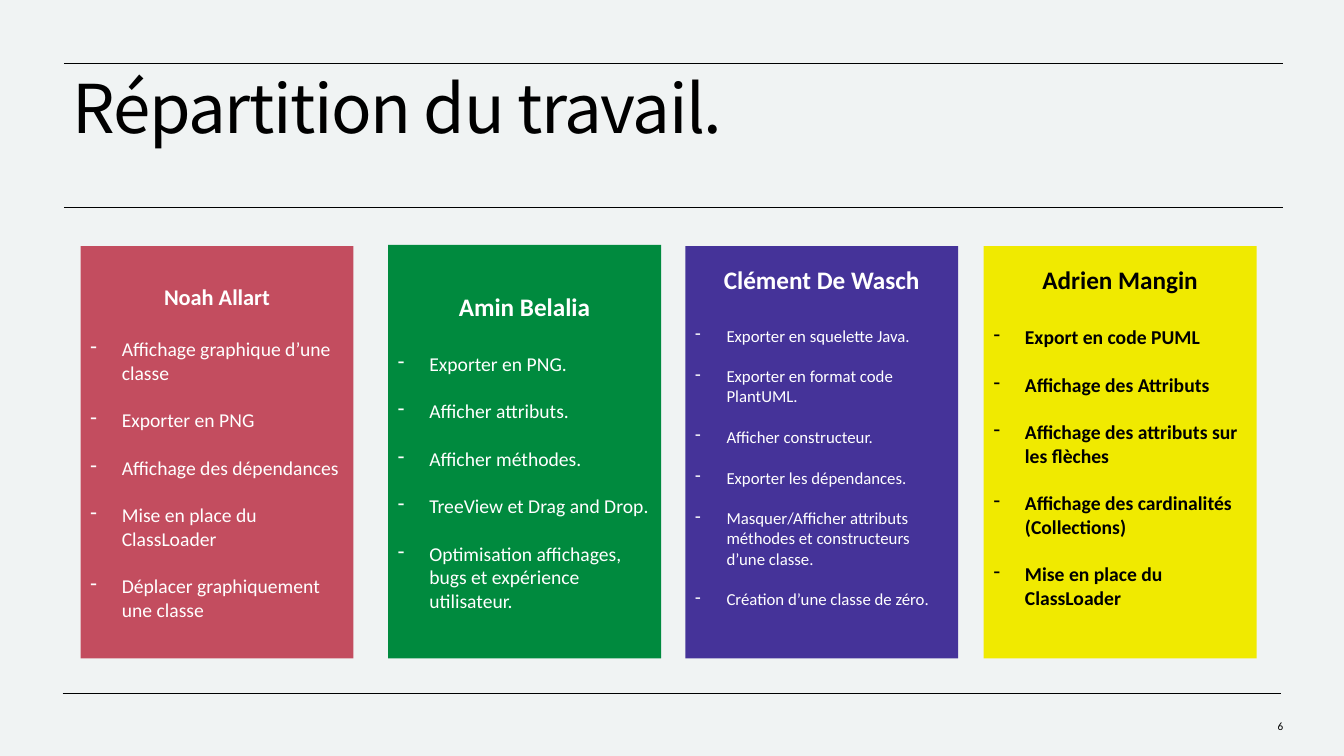
from lxml.etree import SubElement
from pptx import Presentation
from pptx.dml.color import RGBColor
from pptx.enum.shapes import MSO_CONNECTOR, MSO_SHAPE
from pptx.enum.text import MSO_ANCHOR, PP_ALIGN
from pptx.oxml.ns import qn
from pptx.util import Cm, Pt

PAPER = RGBColor(0xF0, 0xF3, 0xF3)
BLACK = RGBColor(0, 0, 0)
WHITE = RGBColor(0xFF, 0xFF, 0xFF)
ROSE = RGBColor(0xC3, 0x4D, 0x5F)
GREEN = RGBColor(0x00, 0x8A, 0x3E)
VIOLET = RGBColor(0x45, 0x33, 0x99)
YELLOW = RGBColor(0xF0, 0xEA, 0x00)

LINE = 1.22  # height of a text line, relative to the font size
INDENT = Cm(0.79)

# Left and top (cm), fill, ink, name, name size, task size, bold tasks,
# extra room at the bottom (pt), tasks
CARDS = [
    (2.03, 6.2, ROSE, WHITE, "Noah Allart", 16, 14, False, 0, [
        "Affichage graphique d’une classe",
        "Exporter en PNG",
        "Affichage des dépendances",
        "Mise en place du ClassLoader",
        "Déplacer graphiquement une classe"]),
    (9.78, 6.17, GREEN, WHITE, "Amin Belalia", 18, 14, False, 0, [
        "Exporter en PNG.",
        "Afficher attributs.",
        "Afficher méthodes.",
        "TreeView et Drag and Drop.",
        "Optimisation affichages, bugs et expérience utilisateur."]),
    (17.27, 6.2, VIOLET, WHITE, "Clément De Wasch", 18, 12, False, 22, [
        "Exporter en squelette Java.",
        "Exporter en format code PlantUML.",
        "Afficher constructeur.",
        "Exporter les dépendances.",
        "Masquer/Afficher attributs méthodes et constructeurs d’une classe.",
        "Création d’une classe de zéro."]),
    (24.79, 6.2, YELLOW, BLACK, "Adrien Mangin", 18, 14, True, 22, [
        "Export en code PUML",
        "Affichage des Attributs",
        "Affichage des attributs sur les flèches",
        "Affichage des cardinalités (Collections)",
        "Mise en place du ClassLoader"]),
]
BASE = 16.59  # common bottom edge of the cards


def add_run(para, text, size, color, bold=False, font="Calibri"):
    run = para.add_run()
    run.text = text
    run.font.name = font
    run.font.size = Pt(size)
    run.font.bold = bold
    run.font.color.rgb = color
    return run


def add_rule(slide, left, right, top):
    rule = slide.shapes.add_connector(
        MSO_CONNECTOR.STRAIGHT, Cm(left), Cm(top), Cm(right), Cm(top))
    rule.line.color.rgb = BLACK
    rule.line.width = Pt(0.5)
    SubElement(rule._element.spPr, qn("a:effectLst"))


def set_title(slide, text):
    title = slide.shapes.title
    title.left, title.top = Cm(1.58), Cm(1.9)
    title.width, title.height = Cm(30.68), Cm(3.02)
    frame = title.text_frame
    frame.vertical_anchor = MSO_ANCHOR.TOP
    frame.margin_top = 0
    para = frame.paragraphs[0]
    para.alignment = PP_ALIGN.LEFT
    para.line_spacing = 0.9
    run = add_run(para, text, 48, BLACK, font="Noto Sans CJK KR")
    run.font._element.set("spc", "-100")


def add_dash(para):
    props = para._p.get_or_add_pPr()
    props.set("marL", str(INDENT))
    props.set("indent", str(-INDENT))
    SubElement(props, qn("a:buChar"), char="-")


def add_card(slide, left, top, fill, ink, name, big, small, bold, room, tasks):
    card = slide.shapes.add_shape(
        MSO_SHAPE.RECTANGLE, Cm(left), Cm(top), Cm(6.88), Cm(BASE - top))
    card.shadow.inherit = False
    card.fill.solid()
    card.fill.fore_color.rgb = fill
    card.line.fill.background()
    frame = card.text_frame
    frame.word_wrap = True
    frame.vertical_anchor = MSO_ANCHOR.MIDDLE
    frame.margin_bottom += Pt(room)

    # Name, then one dashed line per task
    head = frame.paragraphs[0]
    head.alignment = PP_ALIGN.CENTER
    add_run(head, name, big, ink, True)
    for index, task in enumerate(tasks):
        para = frame.add_paragraph()
        para.alignment = PP_ALIGN.LEFT
        para.space_before = Pt(LINE * (small if index else big))
        add_dash(para)
        add_run(para, task, small, ink, bold)


def add_number(slide, text):
    box = slide.shapes.add_textbox(Cm(30.63), Cm(17.78), Cm(1.96), Cm(1.02))
    frame = box.text_frame
    frame.word_wrap = True
    frame.vertical_anchor = MSO_ANCHOR.MIDDLE
    para = frame.paragraphs[0]
    para.alignment = PP_ALIGN.RIGHT
    add_run(para, text, 8, BLACK)


def main():
    deck = Presentation()
    deck.slide_width, deck.slide_height = Cm(33.87), Cm(19.05)
    slide = deck.slides.add_slide(deck.slide_layouts[5])
    slide.background.fill.solid()
    slide.background.fill.fore_color.rgb = PAPER

    # Rules around the title and above the footer
    add_rule(slide, 1.58, 32.28, 17.46)
    for top in (5.23, 1.59):
        add_rule(slide, 1.61, 32.33, top)

    # Title, cards and page number
    set_title(slide, "Répartition du travail.")
    for card in CARDS:
        add_card(slide, *card)
    add_number(slide, "6")
    deck.save("out.pptx")


if __name__ == "__main__":
    main()
